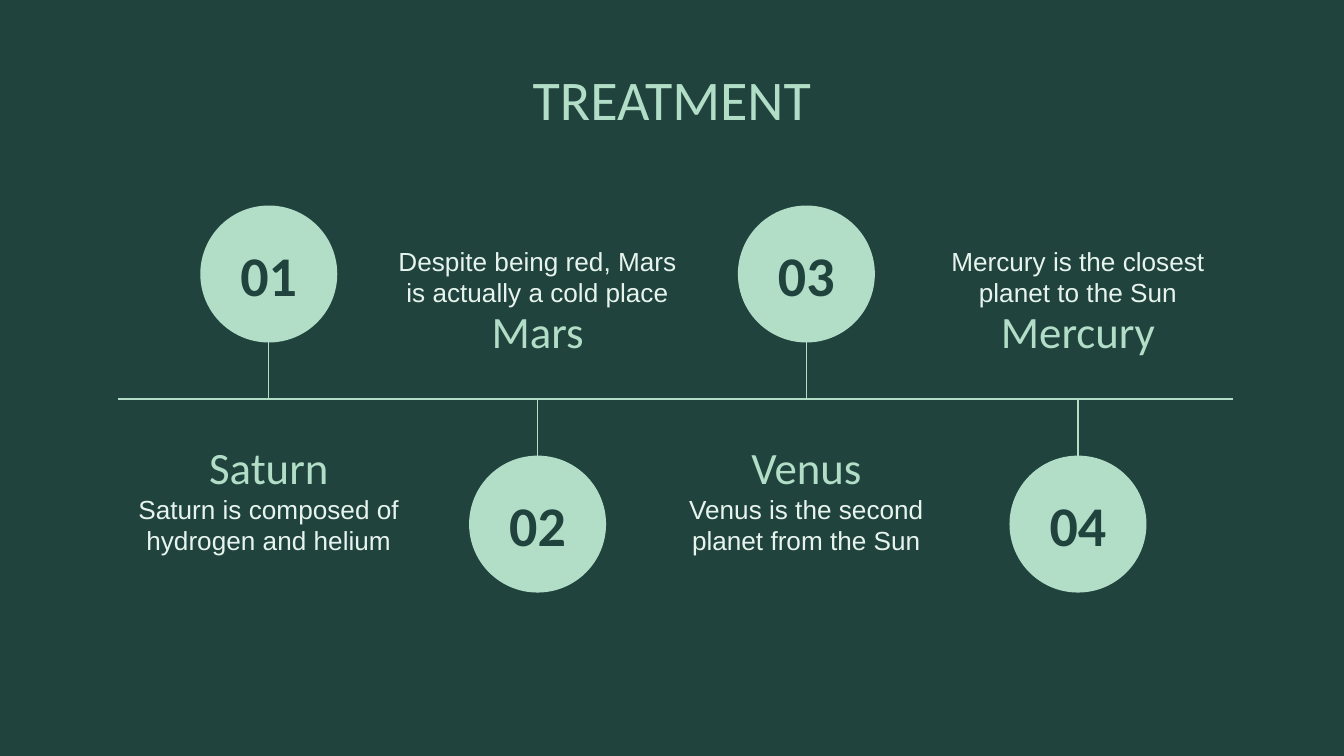
from dataclasses import dataclass

from lxml import etree
from pptx import Presentation
from pptx.dml.color import RGBColor
from pptx.enum.shapes import MSO_CONNECTOR, MSO_SHAPE
from pptx.enum.text import MSO_ANCHOR, MSO_AUTO_SIZE, PP_ALIGN
from pptx.oxml.ns import qn
from pptx.shapes.base import BaseShape
from pptx.slide import Slide
from pptx.util import Pt

STRAIGHT = MSO_CONNECTOR.STRAIGHT
OVAL = MSO_SHAPE.OVAL
TOP, MIDDLE, BOTTOM = MSO_ANCHOR.TOP, MSO_ANCHOR.MIDDLE, MSO_ANCHOR.BOTTOM
CENTER = PP_ALIGN.CENTER
NO_AUTOFIT = MSO_AUTO_SIZE.NONE

DARK_GREEN = RGBColor(0x21, 0x43, 0x3E)
MINT = RGBColor(0xB2, 0xDE, 0xC7)
PALE_MINT = RGBColor(0xE6, 0xF4, 0xED)
HEADING_FONT = "Calibri"
BODY_FONT = "Arial"

# Lengths in points
AXIS_LEFT, AXIS_RIGHT, AXIS_Y = 63.3, 660.3, 213.8
DIAMETER = 73.4
STEM = 30.3
NUMBER_WIDTH = 52.6
NAME_WIDTH, NAME_HEIGHT = 123.1, 33.8
DETAIL_WIDTH, DETAIL_HEIGHT = 168.5, 45.4
INSET = 7.2


@dataclass(frozen=True)
class TextStyle:
    font: str
    size: float
    color: RGBColor
    bold: bool = False


@dataclass(frozen=True)
class CaptionSide:
    name_top: float
    name_anchor: MSO_ANCHOR
    detail_top: float
    detail_anchor: MSO_ANCHOR


@dataclass(frozen=True)
class Step:
    number: str
    name: str
    detail: str
    center_x: float
    circle_above: bool


TITLE_STYLE = TextStyle(HEADING_FONT, 30, MINT)
NUMBER_STYLE = TextStyle(HEADING_FONT, 30, DARK_GREEN, bold=True)
NAME_STYLE = TextStyle(HEADING_FONT, 24, MINT)
DETAIL_STYLE = TextStyle(BODY_FONT, 14, PALE_MINT)

CAPTION_ABOVE = CaptionSide(155.6, TOP, 126.7, BOTTOM)
CAPTION_BELOW = CaptionSide(237.6, BOTTOM, 257.2, TOP)

STEPS = [
    Step("01", "Saturn", "Saturn is composed of hydrogen and helium", 144, True),
    Step("02", "Mars", "Despite being red, Mars is actually a cold place", 288, False),
    Step("03", "Venus", "Venus is the second planet from the Sun", 432, True),
    Step("04", "Mercury", "Mercury is the closest planet to the Sun", 577.5, False),
]


def write_text(shape: BaseShape, text: str, style: TextStyle, anchor: MSO_ANCHOR) -> None:
    frame = shape.text_frame
    frame.word_wrap = True
    frame.auto_size = NO_AUTOFIT
    frame.vertical_anchor = anchor
    frame.margin_left = frame.margin_right = Pt(INSET)
    frame.margin_top = frame.margin_bottom = Pt(INSET)
    paragraph = frame.paragraphs[0]
    paragraph.alignment = CENTER
    run = paragraph.add_run()
    run.text = text
    run.font.name = style.font
    run.font.size = Pt(style.size)
    run.font.bold = style.bold
    run.font.color.rgb = style.color


def add_centered_text(slide: Slide, text: str, style: TextStyle, center_x: float,
                      top: float, width: float, height: float, anchor: MSO_ANCHOR) -> None:
    box = slide.shapes.add_textbox(Pt(center_x - width / 2), Pt(top), Pt(width), Pt(height))
    write_text(box, text, style, anchor)


def add_line(slide: Slide, x1: float, y1: float, x2: float, y2: float) -> None:
    line = slide.shapes.add_connector(STRAIGHT, Pt(x1), Pt(y1), Pt(x2), Pt(y2))
    line.line.color.rgb = MINT
    line.line.width = Pt(0.75)
    etree.SubElement(line._element.spPr, qn("a:effectLst"))


def add_step(slide: Slide, step: Step) -> None:
    """Draw the circle on one side of the axis and its caption on the other."""
    direction = -1 if step.circle_above else 1
    stem_end = AXIS_Y + direction * STEM
    center_y = stem_end + direction * DIAMETER / 2
    circle = slide.shapes.add_shape(
        OVAL, Pt(step.center_x - DIAMETER / 2), Pt(center_y - DIAMETER / 2),
        Pt(DIAMETER), Pt(DIAMETER))
    circle.shadow.inherit = False
    circle.fill.solid()
    circle.fill.fore_color.rgb = MINT
    circle.line.fill.background()
    add_line(slide, step.center_x, min(AXIS_Y, stem_end),
             step.center_x, max(AXIS_Y, stem_end))
    add_centered_text(slide, step.number, NUMBER_STYLE, step.center_x,
                      center_y - NAME_HEIGHT / 2, NUMBER_WIDTH, NAME_HEIGHT, MIDDLE)

    side = CAPTION_BELOW if step.circle_above else CAPTION_ABOVE
    add_centered_text(slide, step.name, NAME_STYLE, step.center_x,
                      side.name_top, NAME_WIDTH, NAME_HEIGHT, side.name_anchor)
    add_centered_text(slide, step.detail, DETAIL_STYLE, step.center_x,
                      side.detail_top, DETAIL_WIDTH, DETAIL_HEIGHT, side.detail_anchor)


def main() -> None:
    presentation = Presentation()
    presentation.slide_width = Pt(720)
    presentation.slide_height = Pt(405)
    title_only = presentation.slide_layouts.get_by_name("Title Only")
    slide = presentation.slides.add_slide(title_only)
    slide.background.fill.solid()
    slide.background.fill.fore_color.rgb = DARK_GREEN

    title = slide.shapes.title
    title.left, title.top = Pt(37), Pt(27.4)
    title.width, title.height = Pt(646), Pt(59.8)
    write_text(title, "TREATMENT", TITLE_STYLE, TOP)

    add_line(slide, AXIS_LEFT, AXIS_Y, AXIS_RIGHT, AXIS_Y)
    for step in STEPS:
        add_step(slide, step)
    presentation.save("out.pptx")


if __name__ == "__main__":
    main()
